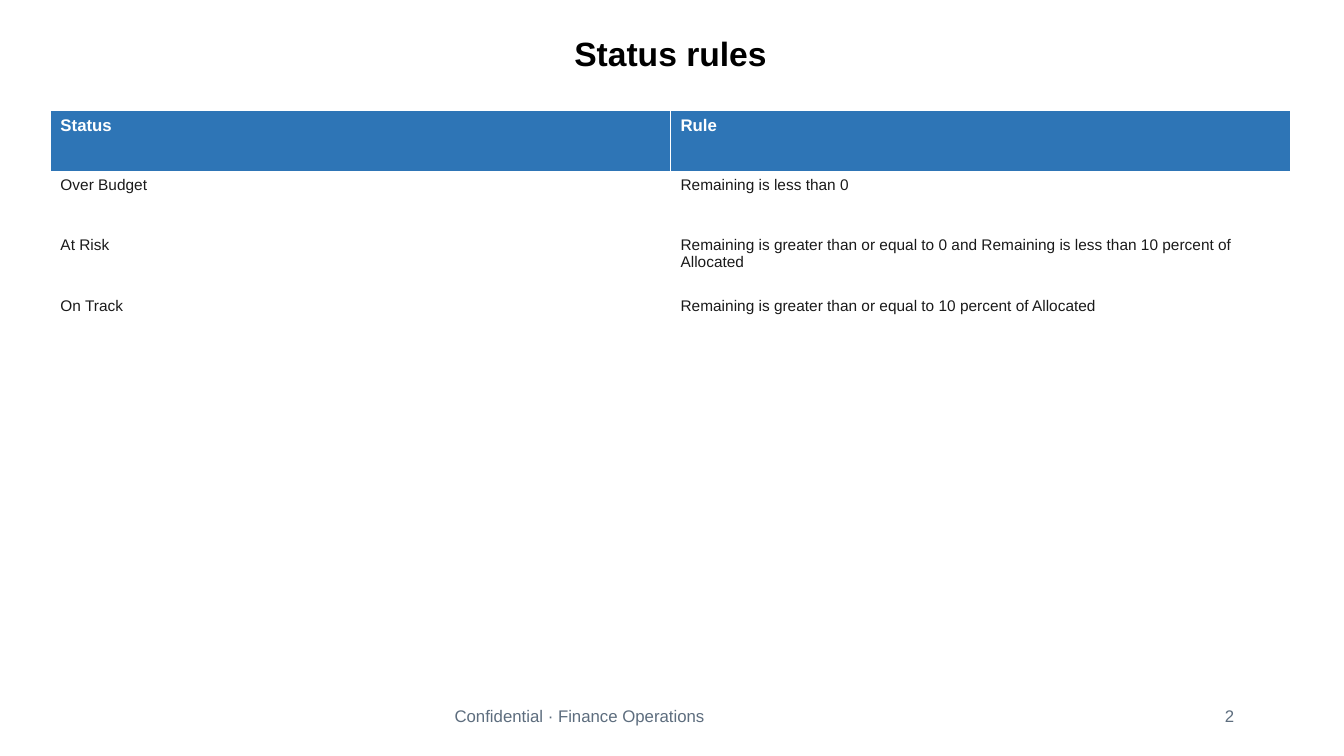
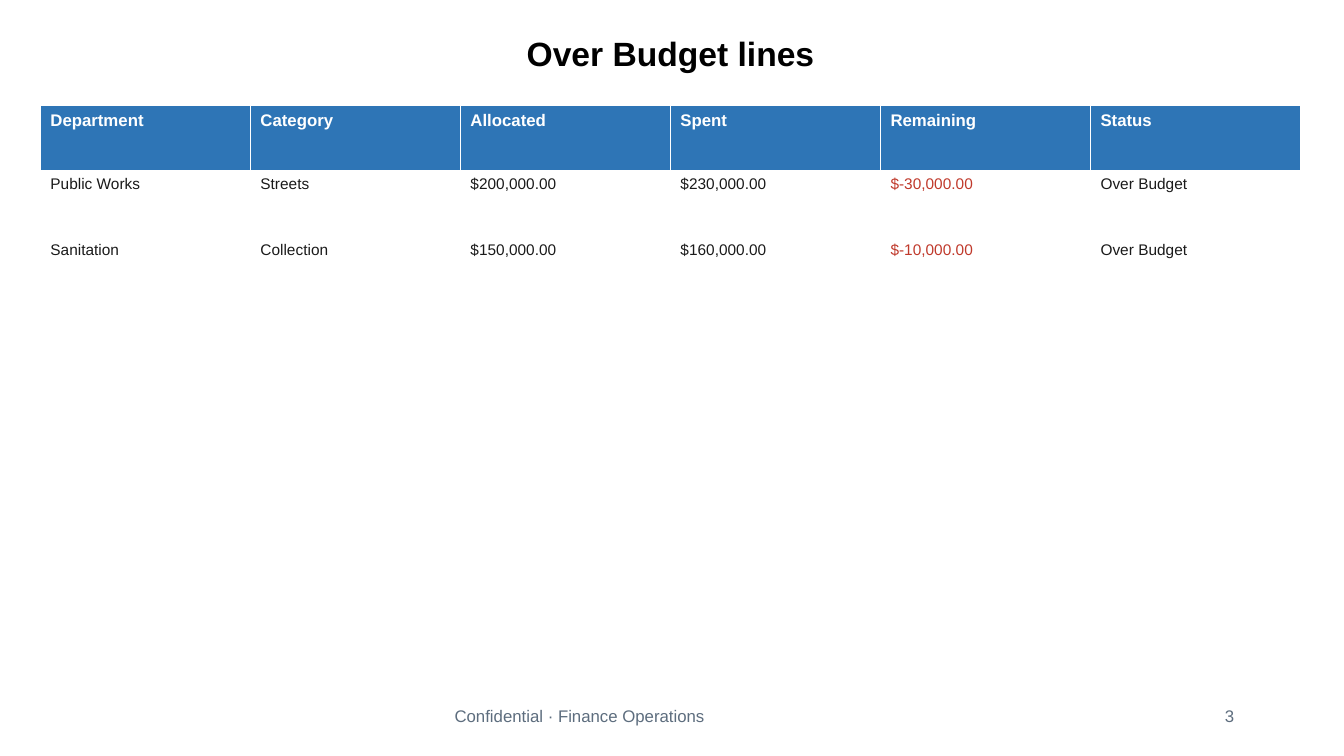
from dataclasses import dataclass
from typing import Any

import pptx
import pptx.dml.color
import pptx.enum.text
import pptx.oxml
import pptx.oxml.ns
import pptx.util

PX = 9144
SLIDE_WIDTH, SLIDE_HEIGHT = 1333, 750
FOOTER_TOP, FOOTER_HEIGHT = 695, 30
FOOTER_TEXT = "Confidential · Finance Operations"
BORDER_WIDTH = pptx.util.Pt(0.96)

BLACK = pptx.dml.color.RGBColor(0x00, 0x00, 0x00)
WHITE = pptx.dml.color.RGBColor(0xFF, 0xFF, 0xFF)
BLUE = pptx.dml.color.RGBColor(0x2E, 0x75, 0xB6)
INK = pptx.dml.color.RGBColor(0x1A, 0x1A, 0x1A)
RED = pptx.dml.color.RGBColor(0xC0, 0x39, 0x2B)
SLATE = pptx.dml.color.RGBColor(0x5D, 0x6D, 0x7E)

LEFT = pptx.enum.text.PP_ALIGN.LEFT
CENTER = pptx.enum.text.PP_ALIGN.CENTER
RIGHT = pptx.enum.text.PP_ALIGN.RIGHT


@dataclass(frozen=True)
class Box:
    left: int
    top: int
    width: int
    height: int

    def emu(self) -> tuple[int, ...]:
        return tuple(length * PX for length in (self.left, self.top, self.width, self.height))


@dataclass(frozen=True)
class TextStyle:
    size: int
    color: pptx.dml.color.RGBColor
    bold: bool = False

    def apply(self, font: Any) -> None:
        formats = {"name": "Arial", "size": pptx.util.Pt(self.size), "bold": self.bold}
        for name, value in formats.items():
            setattr(font, name, value)
        font.color.rgb = self.color


@dataclass(frozen=True)
class TableSlide:
    title: str
    number: int
    table_box: Box
    rows: list[list[str]]


TITLE_BOX = Box(465, 28, 400, 50)
FOOTER_BOX = Box(441, FOOTER_TOP, 268, FOOTER_HEIGHT)
NUMBER_BOX = Box(1205, FOOTER_TOP, 29, FOOTER_HEIGHT)

TITLE_STYLE = TextStyle(24, BLACK, True)
FOOTER_STYLE = TextStyle(12, SLATE)
HEADER_STYLE = TextStyle(12, WHITE, True)
BODY_STYLE = TextStyle(11, INK)
NEGATIVE_STYLE = TextStyle(11, RED)

TABLE_SLIDES = [
    TableSlide("Status rules", 2, Box(50, 110, 1230, 240), [
        ["Status", "Rule"],
        ["Over Budget", "Remaining is less than 0"],
        ["At Risk", "Remaining is greater than or equal to 0 and Remaining is less than "
                    "10 percent of Allocated"],
        ["On Track", "Remaining is greater than or equal to 10 percent of Allocated"],
    ]),
    TableSlide("Over Budget lines", 3, Box(40, 105, 1250, 194), [
        ["Department", "Category", "Allocated", "Spent", "Remaining", "Status"],
        ["Public Works", "Streets", "$200,000.00", "$230,000.00", "$-30,000.00", "Over Budget"],
        ["Sanitation", "Collection", "$150,000.00", "$160,000.00", "$-10,000.00", "Over Budget"],
    ]),
]


def add_text(slide: Any, text: str, box: Box, style: TextStyle, alignment: Any = LEFT,
             wrap: bool = False) -> None:
    frame = slide.shapes.add_textbox(*box.emu()).text_frame
    formats = {"word_wrap": wrap, "auto_size": pptx.enum.text.MSO_AUTO_SIZE.SHAPE_TO_FIT_TEXT}
    for name, value in formats.items():
        setattr(frame, name, value)
    paragraph = frame.paragraphs[0]
    paragraph.alignment = alignment
    run = paragraph.add_run()
    run.text = text
    style.apply(run.font)


def add_borders(cell: Any) -> None:
    properties = cell._tc.get_or_add_tcPr()
    for index, side in enumerate(("lnL", "lnR", "lnT", "lnB")):
        border = pptx.oxml.parse_xml(
            f'<a:{side} {pptx.oxml.ns.nsdecls("a")} w="{BORDER_WIDTH}">'
            f'<a:solidFill><a:srgbClr val="{WHITE}"/></a:solidFill></a:{side}>'
        )
        properties.insert(index, border)


def fill_cell(cell: Any, text: str, is_header: bool) -> None:
    cell.fill.solid()
    cell.fill.fore_color.rgb = BLUE if is_header else WHITE
    add_borders(cell)
    run = cell.text_frame.paragraphs[0].add_run()
    run.text = text
    if is_header:
        style = HEADER_STYLE
    else:
        style = NEGATIVE_STYLE if text.startswith("$-") else BODY_STYLE
    style.apply(run.font)


def add_table(slide: Any, rows: list[list[str]], box: Box) -> None:
    table = slide.shapes.add_table(len(rows), len(rows[0]), *box.emu()).table
    table.horz_banding = False
    for row_index, row in enumerate(rows):
        for column_index, text in enumerate(row):
            fill_cell(table.cell(row_index, column_index), text, row_index == 0)


def add_footer(slide: Any, number: int) -> None:
    add_text(slide, FOOTER_TEXT, FOOTER_BOX, FOOTER_STYLE)
    add_text(slide, str(number), NUMBER_BOX, FOOTER_STYLE, RIGHT)


def add_table_slide(presentation: Any, content: TableSlide) -> None:
    slide = presentation.slides.add_slide(presentation.slide_layouts[6])
    add_text(slide, content.title, TITLE_BOX, TITLE_STYLE, CENTER, wrap=True)
    add_table(slide, content.rows, content.table_box)
    add_footer(slide, content.number)


def main() -> None:
    presentation = pptx.Presentation()
    presentation.slide_width = SLIDE_WIDTH * PX
    presentation.slide_height = SLIDE_HEIGHT * PX
    for content in TABLE_SLIDES:
        add_table_slide(presentation, content)
    presentation.save("out.pptx")


if __name__ == "__main__":
    main()
